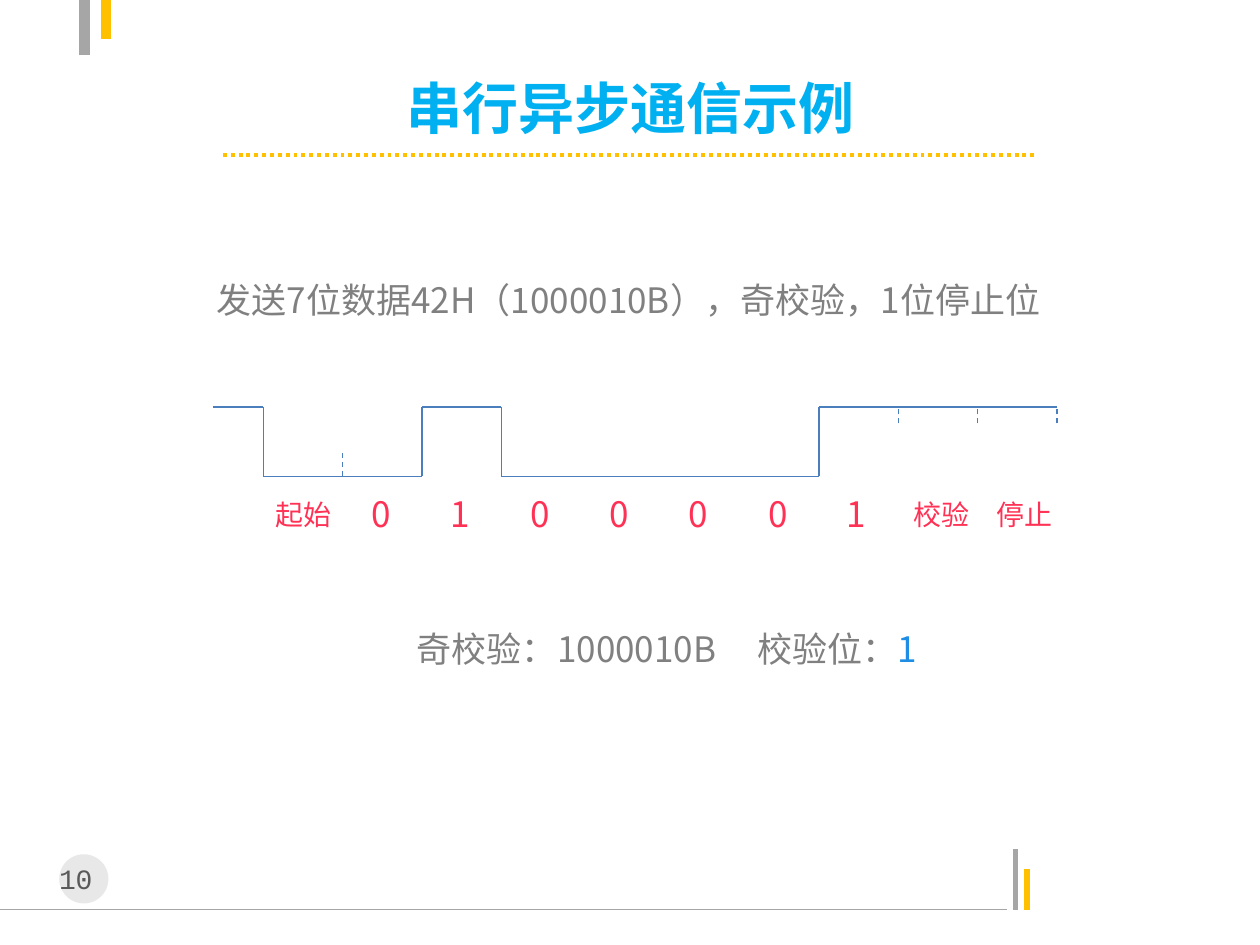
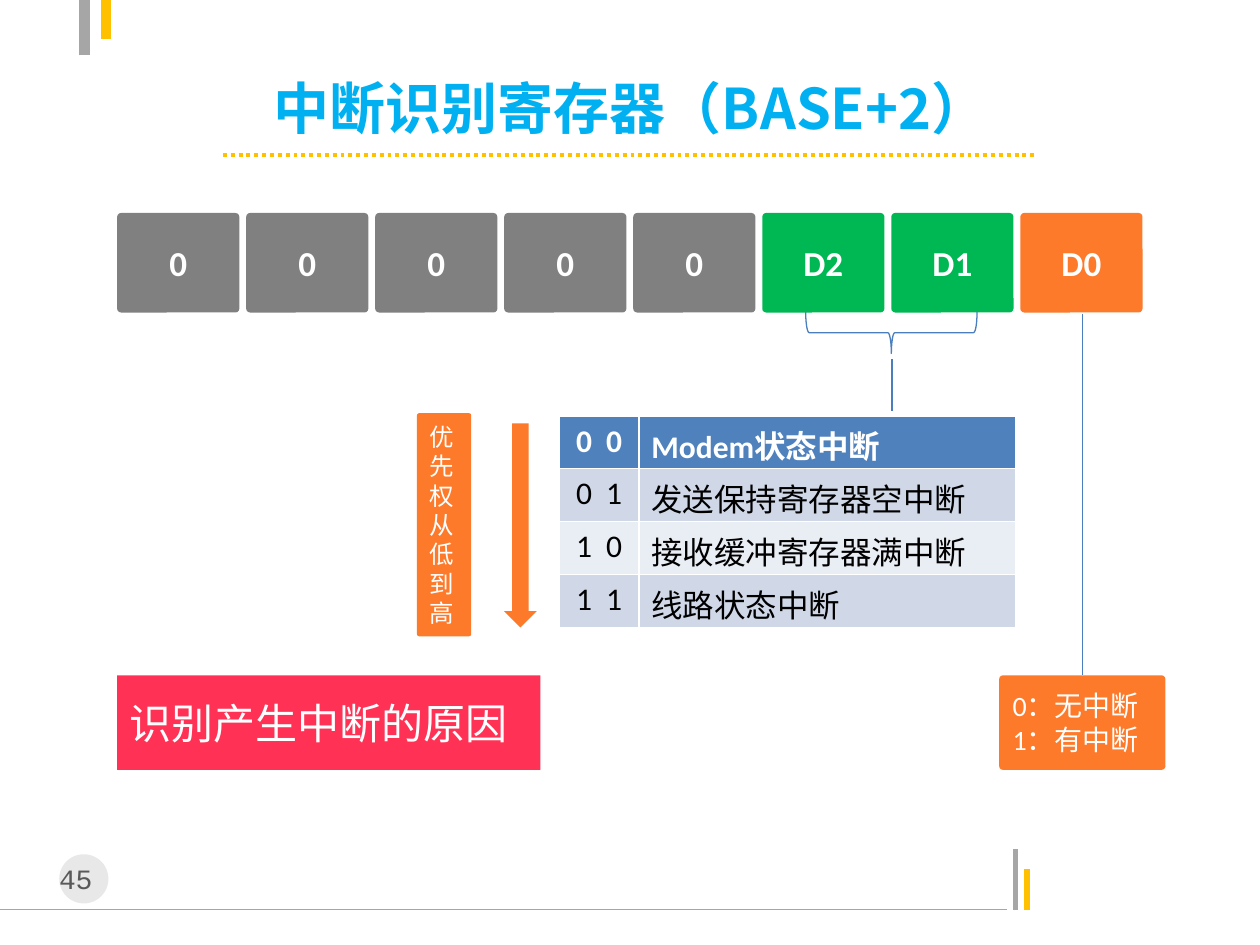
"""Build two slides on asynchronous serial frames and the interrupt identification register."""
from lxml import etree
from pptx import Presentation
from pptx import util as u
from pptx.dml.color import RGBColor
from pptx.enum import dml, shapes, text
from pptx.oxml import ns

SKY = RGBColor(0x00, 0xB0, 0xF0)
GOLD = RGBColor(0xFF, 0xC0, 0x00)
SILVER = RGBColor(0xA6, 0xA6, 0xA6)
BADGE = RGBColor(0xBF, 0xBF, 0xBF)
CHARCOAL = RGBColor(0x59, 0x59, 0x59)
GRAY = RGBColor(0x80, 0x80, 0x80)
STEEL = RGBColor(0x4B, 0x7E, 0xBC)
RED = RGBColor(0xFF, 0x32, 0x55)
BLUE = RGBColor(0x1D, 0x8D, 0xE5)
GREEN = RGBColor(0x00, 0xB8, 0x53)
ORANGE = RGBColor(0xFD, 0x7A, 0x2A)
WHITE = RGBColor(0xFF, 0xFF, 0xFF)
BLACK = RGBColor(0x00, 0x00, 0x00)
HEADER = RGBColor(0x4F, 0x81, 0xBD)
BAND_DARK = RGBColor(0xD0, 0xD8, 0xE8)
BAND_LIGHT = RGBColor(0xE9, 0xED, 0xF4)
SANS = "Noto Sans CJK SC"
LATIN = "Calibri"
LEFT, CENTER = text.PP_ALIGN.LEFT, text.PP_ALIGN.CENTER
KIND = shapes.MSO_SHAPE


def write(frame, words, size, color, font=SANS, bold=False, align=LEFT):
    """Fill a text frame and format every run."""
    frame.text = words
    frame.word_wrap = True
    for para in frame.paragraphs:
        para.alignment = align
        for span in para.runs:
            span.font.size = u.Pt(size)
            span.font.bold = bold
            span.font.color.rgb = color
            span.font.name = font
            east = etree.SubElement(span.font._element, ns.qn("a:ea"))
            east.set("typeface", SANS)


def draw_line(page, x1, y1, x2, y2, color=STEEL, width=0.75, dash=None):
    """Add a straight line without a shadow."""
    line = page.shapes.add_connector(
        shapes.MSO_CONNECTOR.STRAIGHT,
        u.Inches(x1), u.Inches(y1), u.Inches(x2), u.Inches(y2))
    line.line.color.rgb = color
    line.line.width = u.Pt(width)
    if dash:
        line.line.dash_style = dash
    etree.SubElement(line._element.spPr, ns.qn("a:effectLst"))


deck = Presentation()
deck.slide_width = u.Inches(10)
deck.slide_height = u.Inches(7.5)

pages = []
for heading, number in [("串行异步通信示例", "10"), ("中断识别寄存器（BASE+2）", "45")]:
    page = deck.slides.add_slide(deck.slide_layouts[5])
    pages.append(page)
    draw_line(page, 0, 7.22, 7.99, 7.22, SILVER)
    draw_line(page, 8.06, 7.22, 8.06, 6.74, SILVER, 3)
    draw_line(page, 8.15, 7.22, 8.15, 6.9, GOLD, 3)
    draw_line(page, 0.67, 0.44, 0.67, 0, SILVER, 6)
    draw_line(page, 0.84, 0, 0.84, 0.31, GOLD, 6)
    draw_line(page, 1.77, 1.23, 8.23, 1.23, GOLD, 2.25, dml.MSO_LINE.ROUND_DOT)

    badge = page.shapes.add_shape(
        KIND.OVAL, u.Inches(0.47), u.Inches(6.78), u.Inches(0.39), u.Inches(0.39))
    badge.shadow.inherit = False
    badge.line.fill.background()
    badge.fill.solid()
    badge.fill.fore_color.rgb = BADGE
    tint = badge._element.spPr.find(ns.qn("a:solidFill"))[0]
    etree.SubElement(tint, ns.qn("a:alpha")).set("val", "35000")
    box = page.shapes.add_textbox(
        u.Inches(0.37), u.Inches(6.79), u.Inches(0.71), u.Inches(0.37))
    write(box.text_frame, number, 16, CHARCOAL, "Courier New")

    title = page.shapes.title
    title.left, title.top = u.Inches(1.38), u.Inches(0.6)
    title.width, title.height = u.Inches(7.25), u.Inches(0.5)
    write(title.text_frame, heading, 32, SKY, bold=True, align=CENTER)
    title.text_frame.word_wrap = False
    title.text_frame.vertical_anchor = text.MSO_ANCHOR.MIDDLE

frame_page, register_page = pages

HIGH, LOW = 3.23, 3.78
BIT_WIDTH, FRAME_LEFT = 0.63, 2.09
bits = [("起始", LOW, 0), ("0", LOW, 0.13), ("1", HIGH, 0.13), ("0", LOW, 0.13),
        ("0", LOW, 0.13), ("0", LOW, 0.13), ("0", LOW, 0.13), ("1", HIGH, 0.12),
        ("校验", HIGH, 0.02), ("停止", HIGH, 0.05)]
captions = [("发送7位数据42H（1000010B），奇校验，1位停止位", 1.62, 2.16, 6.95, 20, GRAY),
            ("奇校验：1000010B\t校验位：", 3.21, 4.93, 4.25, 20, GRAY)]

draw_line(frame_page, 1.69, HIGH, FRAME_LEFT, HIGH)
previous = HIGH
for index, (label, level, offset) in enumerate(bits):
    left = FRAME_LEFT + index * BIT_WIDTH
    draw_line(frame_page, left, level, left + BIT_WIDTH, level)
    if level != previous:
        draw_line(frame_page, left, previous, left, level)
    previous = level
    if len(label) == 2:
        captions.append((label, left + offset, 3.9, 0.65, 16, RED))
    else:
        captions.append((label, left + offset, 3.86, 0.36, 20, RED))
for edge, start, end in [(1, LOW, 3.59), (8, 3.36, HIGH), (9, 3.36, HIGH), (10, 3.36, HIGH)]:
    tick = FRAME_LEFT + edge * BIT_WIDTH
    draw_line(frame_page, tick, start, tick, end, dash=dml.MSO_LINE.DASH)

boxes = []
for words, left, top, width, size, color in captions:
    box = frame_page.shapes.add_textbox(
        u.Inches(left), u.Inches(top), u.Inches(width), u.Inches(0.4))
    write(box.text_frame, words, size, color)
    boxes.append(box)

parity = boxes[1].text_frame.paragraphs[0]
tabs = etree.SubElement(parity._p.get_or_add_pPr(), ns.qn("a:tabLst"))
stop = etree.SubElement(tabs, ns.qn("a:tab"))
stop.set("pos", str(u.Inches(2.7)))
stop.set("algn", "l")
span = parity.add_run()
span.text = "1"
span.font.size = u.Pt(20)
span.font.name = SANS
span.font.color.rgb = BLUE

cards = [
    (KIND.ROUNDED_RECTANGLE, 7.93, 5.36, 1.32, 0.75, ORANGE, "0：无中断\n1：有中断", 16, False, LEFT),
    (KIND.RECTANGLE, 0.93, 5.36, 3.36, 0.75, RED, "识别产生中断的原因", 24, False, LEFT),
    (KIND.DOWN_ARROW, 4, 3.36, 0.26, 1.62, ORANGE, "", 14, False, LEFT),
    (KIND.ROUNDED_RECTANGLE, 3.31, 3.28, 0.43, 1.77, ORANGE, "\n".join("优先权从低到高"), 14, False, LEFT),
]
register = [("0", GRAY)] * 5 + [("D2", GREEN), ("D1", GREEN), ("D0", ORANGE)]
for index, (label, color) in enumerate(register):
    cards.append((KIND.ROUNDED_RECTANGLE, 0.93 + index * 1.024, 1.69, 0.97, 0.79,
                  color, label, 20, True, CENTER))
draw_line(register_page, 8.59, 2.49, 8.59, 5.36)
draw_line(register_page, 7.08, 2.85, 7.08, 3.26)
for kind, left, top, width, height, color, words, size, bold, align in cards:
    card = register_page.shapes.add_shape(
        kind, u.Inches(left), u.Inches(top), u.Inches(width), u.Inches(height))
    card.shadow.inherit = False
    card.line.fill.background()
    card.fill.solid()
    card.fill.fore_color.rgb = color
    if kind == KIND.ROUNDED_RECTANGLE:
        card.adjustments[0] = 0.04
    if words:
        write(card.text_frame, words, size, WHITE, LATIN, bold, align)
        card.text_frame.vertical_anchor = text.MSO_ANCHOR.MIDDLE

brace = register_page.shapes.add_shape(
    KIND.LEFT_BRACE, u.Inches(6.91), u.Inches(1.96), u.Inches(0.33), u.Inches(1.36))
brace.rotation = 270
brace.shadow.inherit = False
brace.fill.background()
brace.line.color.rgb = STEEL
brace.line.width = u.Pt(0.75)

causes = [("0 0", "Modem状态中断"), ("0 1", "发送保持寄存器空中断"),
          ("1 0", "接收缓冲寄存器满中断"), ("1 1", "线路状态中断")]
table = register_page.shapes.add_table(
    4, 2, u.Inches(4.44), u.Inches(3.3), u.Inches(3.62), u.Inches(1.68)).table
table.columns[0].width = u.Inches(0.63)
table.columns[1].width = u.Inches(2.99)
fills = [HEADER, BAND_DARK, BAND_LIGHT, BAND_DARK]
for row, (cause, fill) in enumerate(zip(causes, fills)):
    for column, words in enumerate(cause):
        cell = table.cell(row, column)
        cell.fill.solid()
        cell.fill.fore_color.rgb = fill
        write(cell.text_frame, words, 18, BLACK if row else WHITE, LATIN,
              row == 0, LEFT if column else CENTER)
    code = table.cell(row, 0).text_frame.paragraphs[0].runs[0]
    code.font._element.set("spc", "200")

deck.save("out.pptx")
